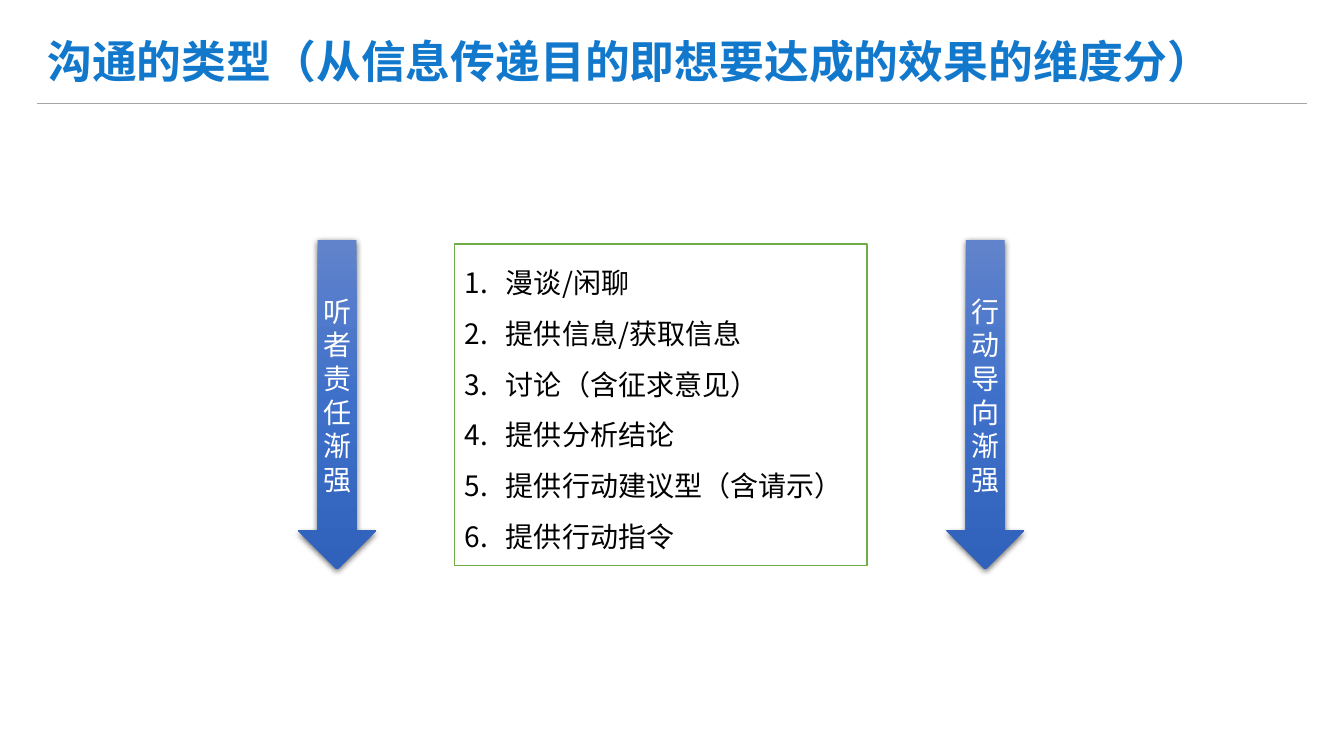
"""Build the slide on types of communication by intended effect."""
from copy import deepcopy

from lxml.etree import SubElement
from pptx import Presentation
from pptx.dml.color import RGBColor
from pptx.enum.shapes import MSO_CONNECTOR as Connector, MSO_SHAPE as Shape
from pptx.enum.text import MSO_ANCHOR as Anchor, MSO_AUTO_SIZE as AutoSize, PP_ALIGN as Align
from pptx.oxml.ns import qn
from pptx.util import Pt

FONT = "Noto Sans CJK SC"
TITLE_BLUE = RGBColor(0x11, 0x78, 0xCC)
RULE_GRAY = RGBColor(0xA5, 0xA5, 0xA5)
BOX_GREEN = RGBColor(0x70, 0xAD, 0x47)
WHITE = RGBColor(0xFF, 0xFF, 0xFF)
BLACK = RGBColor(0, 0, 0)
ARROW_STOPS = [
    (0, RGBColor(0x61, 0x83, 0xCB)),
    (0.5, RGBColor(0x3E, 0x70, 0xCA)),
    (1, RGBColor(0x30, 0x62, 0xBB)),
]
TYPES = ["漫谈/闲聊", "提供信息/获取信息", "讨论（含征求意见）",
         "提供分析结论", "提供行动建议型（含请示）", "提供行动指令"]
ARROWS = [(213.1, "听者责任渐强"), (676.1, "行动导向渐强")]


def write(paragraph, text, size=20, color=BLACK, bold=False, align=Align.LEFT):
    paragraph.alignment = align
    run = paragraph.add_run()
    run.text = text
    run.font.size, run.font.bold, run.font.name = Pt(size), bold, FONT
    run.font.color.rgb = color
    SubElement(run.font._element, qn("a:ea"), typeface=FONT)


def place(shape, left, top, width, height, anchor):
    shape.left, shape.top = Pt(left), Pt(top)
    shape.width, shape.height = Pt(width), Pt(height)
    frame = shape.text_frame
    frame.word_wrap, frame.auto_size = True, AutoSize.NONE
    frame.vertical_anchor = anchor
    return frame


presentation = Presentation()
presentation.slide_width, presentation.slide_height = Pt(960), Pt(540)
slide = presentation.slides.add_slide(presentation.slide_layouts[1])

title_frame = place(slide.shapes.title, 26.6, 22.3, 880.6, 42.5, Anchor.MIDDLE)
write(title_frame.paragraphs[0], "沟通的类型（从信息传递目的即想要达成的效果的维度分）",
      size=32, color=TITLE_BLUE, bold=True)

rule = slide.shapes.add_connector(Connector.STRAIGHT, Pt(26.6), Pt(73.7), Pt(933.8), Pt(73.7))
rule.line.color.rgb = RULE_GRAY
rule.line.width = Pt(0.5)
SubElement(rule._element.spPr, qn("a:effectLst"))

type_list = slide.placeholders[1]
list_frame = place(type_list, 324.7, 174.2, 294.5, 229.7, Anchor.TOP)
type_list.fill.solid()
type_list.fill.fore_color.rgb = WHITE
type_list.line.color.rgb = BOX_GREEN
type_list.line.width = Pt(1)
for index, name in enumerate(TYPES):
    paragraph = list_frame.add_paragraph() if index else list_frame.paragraphs[0]
    properties = paragraph._p.get_or_add_pPr()
    properties.set("marL", str(Pt(29.5)))
    properties.set("indent", str(-Pt(29.5)))
    SubElement(properties, qn("a:buFont"), typeface="+mj-lt")
    SubElement(properties, qn("a:buAutoNum"), type="arabicPeriod")
    paragraph.line_spacing = 1.5
    paragraph.space_before = Pt(0.2 if index else 0)
    write(paragraph, name)

for left, label in ARROWS:
    arrow = slide.shapes.add_shape(Shape.DOWN_ARROW, 0, 0, 0, 0)
    frame = place(arrow, left, 171.4, 55.4, 235.4, Anchor.MIDDLE)
    frame.margin_left = frame.margin_right = frame.margin_top = frame.margin_bottom = 0
    write(frame.paragraphs[0], label, color=WHITE, align=Align.CENTER)

    arrow.fill.gradient()
    arrow.fill.gradient_angle = 270
    stop_list = arrow._element.spPr.find(qn("a:gradFill")).find(qn("a:gsLst"))
    stop_list.append(deepcopy(stop_list[-1]))
    for stop, (position, color) in zip(arrow.fill.gradient_stops, ARROW_STOPS):
        stop.position = position
        stop.color.rgb = color
    arrow.line.fill.background()

    arrow.shadow.inherit = False
    effects = arrow._element.spPr.find(qn("a:effectLst"))
    shadow = SubElement(effects, qn("a:outerShdw"), blurRad=str(Pt(4.5)), dist=str(Pt(1.5)),
                        dir="5400000", algn="ctr", rotWithShape="0")
    shadow_color = SubElement(shadow, qn("a:srgbClr"), val=str(BLACK))
    SubElement(shadow_color, qn("a:alpha"), val="63000")

presentation.save("out.pptx")
